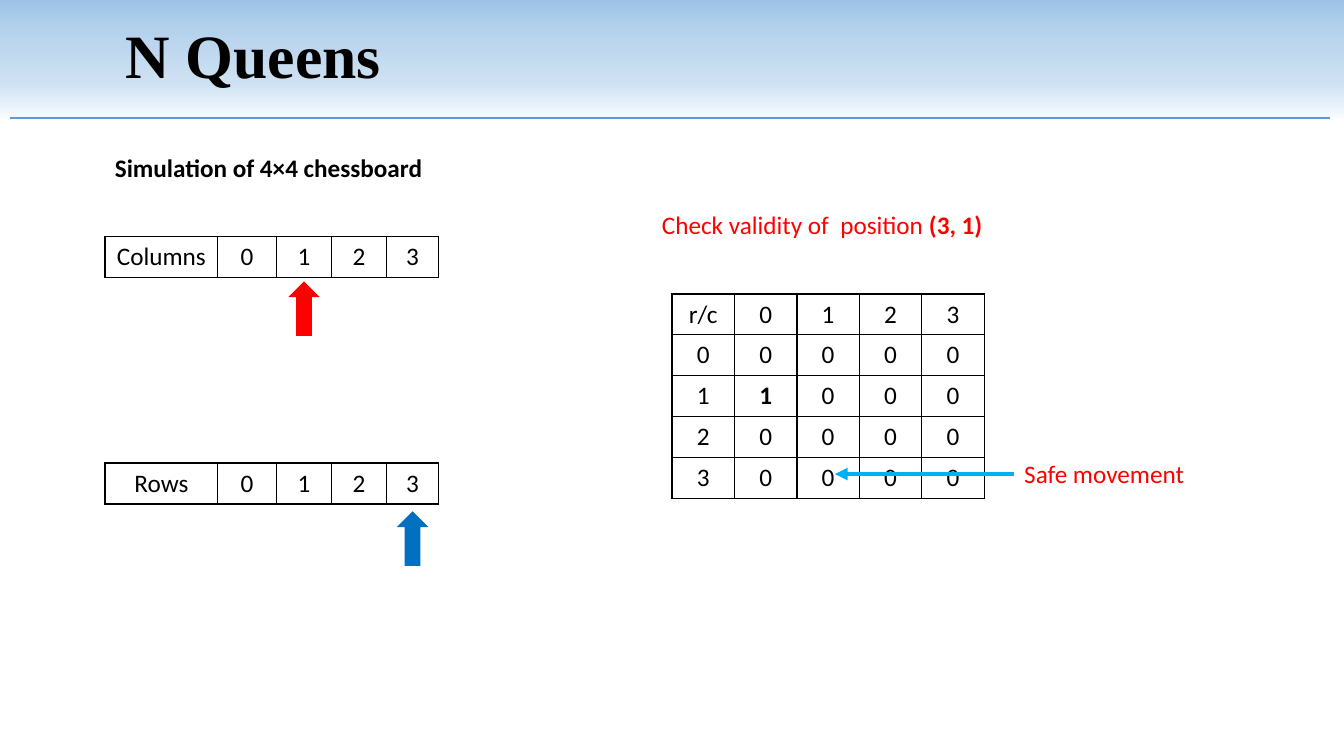
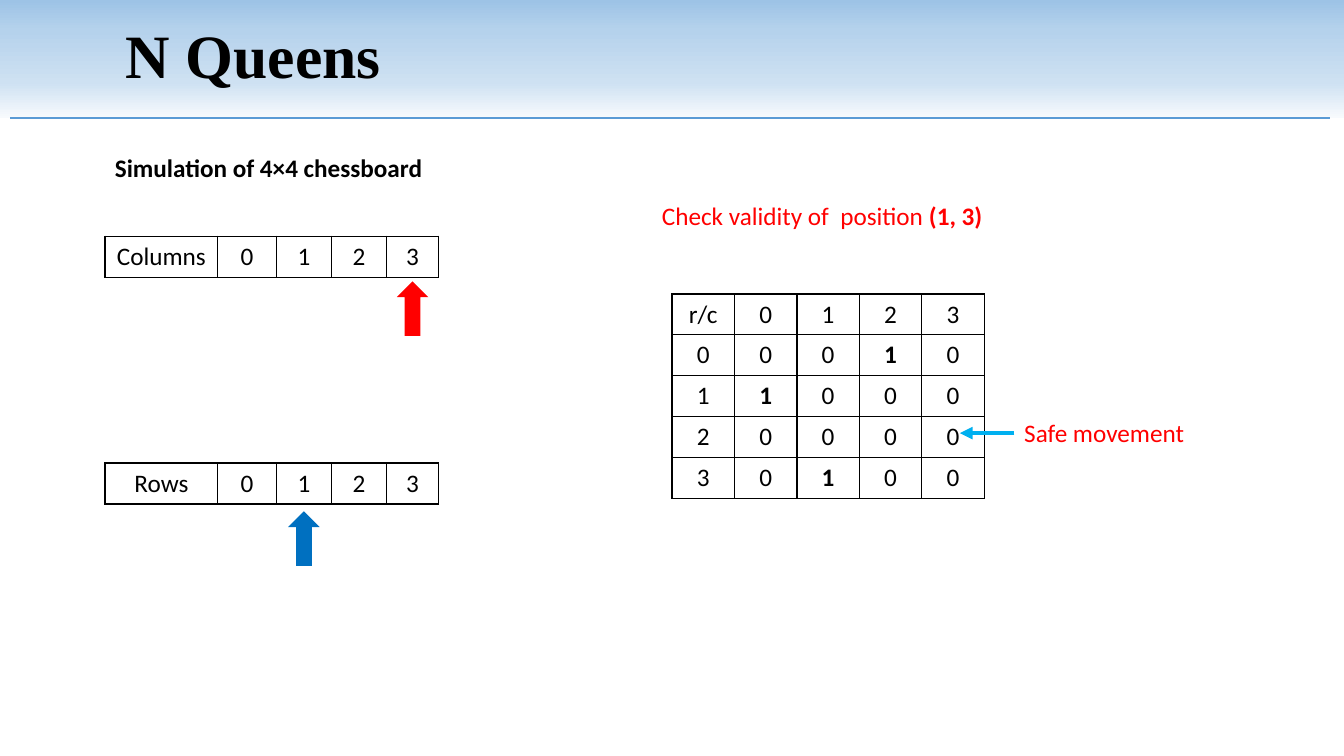
from copy import deepcopy
from dataclasses import dataclass

from lxml import etree
from pptx import Presentation
from pptx import util as u
from pptx.dml.color import RGBColor
from pptx.enum import shapes, text
from pptx.oxml import ns


@dataclass(frozen=True)
class Theme:
    """Colours (RRGGBB), typefaces and sizes (points)."""
    ink: str = "000000"
    alert: str = "FF0000"
    row_marker: str = "0070C0"
    pointer: str = "00B0F0"
    rule: str = "5B9BD5"
    band: tuple = ((0, "9DC3E6"), (0.26, "B5D2EC"), (0.7, "CEE1F2"), (1, "F7FAFD"))
    title_font: str = "Times New Roman"
    body_font: str = "Calibri"
    title_size: int = 44
    body_size: int = 18
    border: float = 1
    rule_width: float = 1.5
    pointer_width: float = 3


# The slide is a grid of 128 columns by 72 rows of square units
COLUMNS, ROWS = 128, 72
UNIT = u.Inches(7.5) / ROWS

LEFT = 10                                  # left edge of the selectors
BAND_HEIGHT = 11.2
LINE_HEIGHT = 3.9                          # one row of text or table
SELECTOR_WIDTHS = (10.75, 5.55, 5.3, 5.2, 5)
BOARD_LEFT, BOARD_TOP, BOARD_CELL = 64, 28, 5.95
BOARD_SIZE = 4
LABEL_LEFT = 96.6
MARKER_WIDTH, MARKER_HEIGHT = 3, 5.2


def units(*values):
    return [u.Emu(round(value * UNIT)) for value in values]


class Deck:
    def __init__(self, theme):
        self.theme = theme
        self.presentation = Presentation()
        self.presentation.slide_width, self.presentation.slide_height = units(COLUMNS, ROWS)
        self.slide = None

    def style(self, paragraph, color, bold=False, font=None, size=None):
        paragraph.font.name = font or self.theme.body_font
        paragraph.font.size = u.Pt(size or self.theme.body_size)
        paragraph.font.color.rgb = RGBColor.from_string(color)
        paragraph.font.bold = bold

    def add_slide(self, title):
        """Add a slide with its gradient title band and the rule below."""
        theme = self.theme
        self.slide = self.presentation.slides.add_slide(self.presentation.slide_layouts[5])
        band = self.slide.shapes.title
        band.left, band.top, band.width, band.height = units(0, 0, COLUMNS, BAND_HEIGHT)
        self.fill_band(band)
        frame = band.text_frame
        frame.text = title
        frame.auto_size = text.MSO_AUTO_SIZE.NONE
        frame.vertical_anchor = text.MSO_ANCHOR.MIDDLE
        frame.margin_left = units(12)[0]
        paragraph = frame.paragraphs[0]
        paragraph.alignment = text.PP_ALIGN.LEFT
        paragraph.line_spacing = 0.9
        self.style(paragraph, theme.ink, True, theme.title_font, theme.title_size)
        self.line(1, BAND_HEIGHT, 126.7, BAND_HEIGHT, theme.rule, theme.rule_width)

    def fill_band(self, band):
        band.fill.gradient()
        band.fill.gradient_angle = 270
        # Extend the two default stops to as many as the theme has
        stop_list = next(band.element.iter(ns.qn("a:gsLst")))
        while len(stop_list) < len(self.theme.band):
            stop_list.append(deepcopy(stop_list[0]))
        for stop, (position, color) in zip(band.fill.gradient_stops, self.theme.band):
            stop.position = position
            stop.color.rgb = RGBColor.from_string(color)

    def line(self, x1, y1, x2, y2, color, width, arrow=False):
        connector = self.slide.shapes.add_connector(
            shapes.MSO_CONNECTOR.STRAIGHT, *units(x1, y1, x2, y2))
        connector.line.color.rgb = RGBColor.from_string(color)
        connector.line.width = u.Pt(width)
        if arrow:
            line = connector.line._get_or_add_ln()
            etree.SubElement(line, ns.qn("a:tailEnd"), type="triangle")
        etree.SubElement(connector.element.spPr, ns.qn("a:effectLst"))
        return connector

    def label(self, left, top, width, content, color, bold=False, emphasis=""):
        """Add a line of text, with an optional bold ending."""
        box = self.slide.shapes.add_textbox(*units(left, top, width, LINE_HEIGHT))
        box.text_frame.word_wrap = True
        paragraph = box.text_frame.paragraphs[0]
        self.style(paragraph, color, bold)
        paragraph.add_run().text = content
        if emphasis:
            run = paragraph.add_run()
            run.text = emphasis
            run.font.bold = True
        return box

    def table(self, left, top, widths, rows, bold_cells=()):
        frame = self.slide.shapes.add_table(
            len(rows), len(widths),
            *units(left, top, sum(widths), LINE_HEIGHT * len(rows)))
        table = frame.table
        table.first_row = table.horz_banding = False
        for column, width in zip(table.columns, units(*widths)):
            column.width = width
        for r, values in enumerate(rows):
            table.rows[r].height = units(LINE_HEIGHT)[0]
            for c, value in enumerate(values):
                cell = table.cell(r, c)
                cell.text = str(value)
                cell.fill.background()
                self.outline(cell)
                paragraph = cell.text_frame.paragraphs[0]
                paragraph.alignment = text.PP_ALIGN.CENTER
                self.style(paragraph, self.theme.ink, (r, c) in bold_cells)

    def outline(self, cell):
        properties = cell._tc.get_or_add_tcPr()
        for index, side in enumerate(("lnL", "lnR", "lnT", "lnB")):
            border = etree.Element(ns.qn(f"a:{side}"), w=str(u.Pt(self.theme.border)))
            fill = etree.SubElement(border, ns.qn("a:solidFill"))
            etree.SubElement(fill, ns.qn("a:srgbClr"), val=self.theme.ink)
            properties.insert(index, border)

    def selector(self, name, top, chosen, gap, color):
        """Add an index strip with an arrow below the chosen index."""
        self.table(LEFT, top, SELECTOR_WIDTHS, [[name, *range(BOARD_SIZE)]])
        center = LEFT + sum(SELECTOR_WIDTHS[:chosen + 1]) + SELECTOR_WIDTHS[chosen + 1] / 2
        marker = self.slide.shapes.add_shape(
            shapes.MSO_SHAPE.UP_ARROW,
            *units(center - MARKER_WIDTH / 2, top + LINE_HEIGHT + gap,
                   MARKER_WIDTH, MARKER_HEIGHT))
        marker.shadow.inherit = False
        marker.fill.solid()
        marker.fill.fore_color.rgb = RGBColor.from_string(color)
        marker.line.fill.background()

    def board(self, queens):
        """Add the chessboard with a bold 1 for each (row, column) queen."""
        indices = range(BOARD_SIZE)
        rows = [["r/c", *indices]]
        rows += [[r, *(int((r, c) in queens) for c in indices)] for r in indices]
        self.table(BOARD_LEFT, BOARD_TOP, [BOARD_CELL] * (BOARD_SIZE + 1), rows,
                   {(r + 1, c + 1) for r, c in queens})

    def callout(self, content, row, column):
        """Add a label at the right with an arrow to a board square."""
        middle = BOARD_TOP + (row + 1.5) * LINE_HEIGHT - 0.4
        target = BOARD_LEFT + (column + 1.5) * BOARD_CELL + 0.65
        label = self.label(LABEL_LEFT, middle - LINE_HEIGHT / 2, 27.6,
                           content, self.theme.alert)
        arrow = self.line(LABEL_LEFT, middle, target, middle, self.theme.pointer,
                          self.theme.pointer_width, arrow=True)
        arrow.begin_connect(label, 1)

    def step(self, queens, position, check_top, safe_square):
        """Build one step of the simulation."""
        theme = self.theme
        row, column = position
        self.add_slide("N Queens")
        self.board(queens)
        self.label(LEFT, 14, 78.2, "Simulation of 4×4 chessboard", theme.ink, bold=True)
        self.selector("Columns", 22.5, column, 0.4, theme.alert)
        self.selector("Rows", 44.1, row, 0.7, theme.row_marker)
        self.label(62.1, check_top, 52.3, "Check validity of  position ", theme.alert,
                   emphasis=f"({row}, {column})")
        self.callout("Safe movement", *safe_square)


def main():
    deck = Deck(Theme())
    deck.step({(1, 0)}, (3, 1), 19.5, (3, 1))
    deck.step({(0, 2), (1, 0), (3, 1)}, (1, 3), 18.6, (2, 3))
    deck.presentation.save("out.pptx")


if __name__ == "__main__":
    main()
